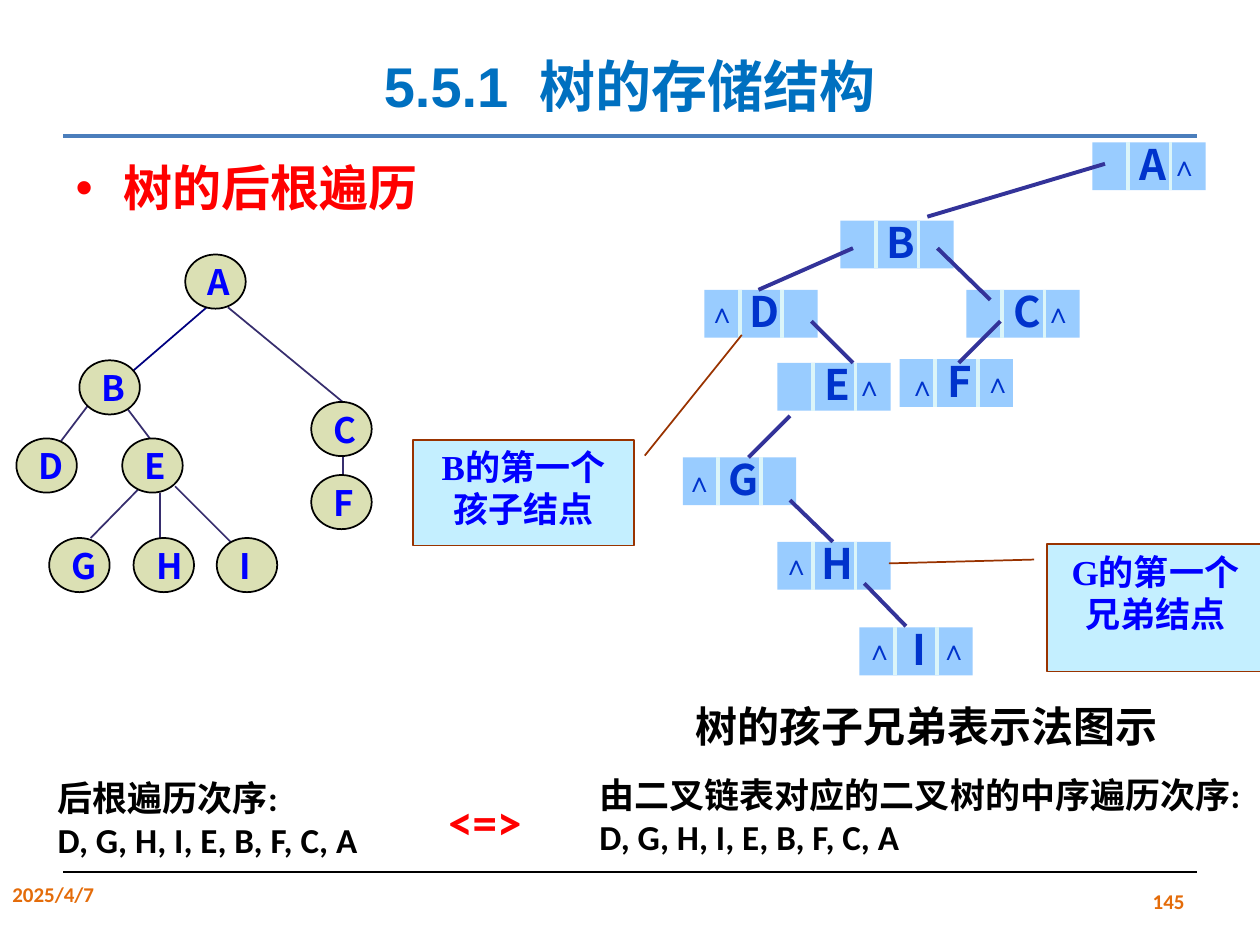
from lxml import etree
from pptx import Presentation
from pptx.dml.color import RGBColor
from pptx.enum import shapes, text
from pptx.oxml.ns import qn
from pptx.util import Inches, Pt

COLORS = {
    "title": "0070C0", "title_rule": "4B7EBC", "red": "FF0000", "black": "000000",
    "footer": "E46C0A", "cell": "99CCFF", "divider": "DBF5F9", "cell_text": "0033CC",
    "pointer": "333399", "callout": "C4EFFF", "callout_line": "993300",
    "blue": "0000FF", "node": "DBE0B4", "edge": "372E6E", "root_edge": "000080",
}
RGB = {name: RGBColor.from_string(value) for name, value in COLORS.items()}
SANS = "Noto Sans CJK SC"
LEFT, CENTER, RIGHT = text.PP_ALIGN.LEFT, text.PP_ALIGN.CENTER, text.PP_ALIGN.RIGHT

deck = Presentation()
deck.slide_width, deck.slide_height = Inches(10), Inches(7.5)
page = deck.slides.add_slide(deck.slide_layouts[1])


def write(box, words, size, color, font="Calibri", align=LEFT, wrap=True):
    """Fill a shape with bold text, one paragraph per line."""
    frame = box.text_frame
    frame.text = words
    frame.word_wrap = wrap
    for para in frame.paragraphs:
        para.alignment = align
        for span in para.runs:
            span.font.size, span.font.bold, span.font.name = Pt(size), True, font
            span.font.color.rgb = RGB[color]
            east_asian = etree.SubElement(span.font._element, qn("a:ea"))
            east_asian.set("typeface", SANS)


def draw_line(x1, y1, x2, y2, color, width):
    line = page.shapes.add_connector(
        shapes.MSO_CONNECTOR.STRAIGHT, Inches(x1), Inches(y1), Inches(x2), Inches(y2))
    line.line.color.rgb = RGB[color]
    line.line.width = Pt(width)
    etree.SubElement(line._element.spPr, qn("a:effectLst"))


# Title and heading
title = page.shapes.title
title.left, title.top, title.width, title.height = 0, 0, Inches(9), Inches(1.09)
title.left = Inches(0.5)
write(title, "5.5.1  树的存储结构", 32, "title", "Arial", CENTER)
title.text_frame.vertical_anchor = text.MSO_ANCHOR.MIDDLE
title.text_frame.paragraphs[0].line_spacing = 1.5

body = page.placeholders[1]
body.left, body.top, body.width, body.height = [Inches(n) for n in (0.5, 1.17, 9, 5.58)]
write(body, "树的后根遍历", 28, "red", align=text.PP_ALIGN.JUSTIFY)
heading = body.text_frame.paragraphs[0]
heading.line_spacing = Pt(36)
heading.space_before = Pt(0)
bullet_format = heading._p.get_or_add_pPr()
bullet_format.set("marL", str(Inches(0.38)))
bullet_format.set("indent", str(-Inches(0.38)))
etree.SubElement(bullet_format, qn("a:buChar")).set("char", "•")

draw_line(0.5, 1.08, 9.5, 1.08, "title_rule", 2.75)
draw_line(0.5, 6.92, 9.5, 6.92, "black", 0.75)

# Child-sibling linked list: each cell has two pointer fields around its letter
cells = {
    "A": (8.67, 1.13), "B": (6.67, 1.75), "C": (7.67, 2.3), "D": (5.59, 2.3),
    "E": (6.17, 2.88), "F": (7.14, 2.85), "G": (5.42, 3.63), "H": (6.17, 4.3),
    "I": (6.82, 4.98),
}
for letter, (x, y) in cells.items():
    cell = page.shapes.add_shape(
        shapes.MSO_SHAPE.RECTANGLE, Inches(x), Inches(y), Inches(0.9), Inches(0.38))
    cell.shadow.inherit = False
    cell.fill.solid()
    cell.fill.fore_color.rgb = RGB["cell"]
    cell.line.fill.background()
    for offset in (0.28, 0.62):
        draw_line(x + offset, y, x + offset, y + 0.38, "divider", 2.25)
    box = page.shapes.add_textbox(
        Inches(x - 0.06), Inches(y - 0.08), Inches(1.08), Inches(0.5))
    write(box, letter, 24, "cell_text", SANS, CENTER)

pointers = [
    (8.77, 1.3, 7.36, 1.72), (6.77, 1.97, 6.02, 2.3), (7.44, 1.97, 7.86, 2.38),
    (6.44, 2.55, 6.77, 2.88), (7.94, 2.55, 7.61, 2.88), (6.27, 3.3, 5.94, 3.63),
    (6.27, 3.97, 6.61, 4.3), (6.86, 4.63, 7.19, 4.97),
]
for ends in pointers:
    draw_line(*ends, "pointer", 2.25)

null_marks = [
    (9.19, 1.13), (5.52, 2.3), (8.19, 2.3), (6.69, 2.88), (7.11, 2.88),
    (7.71, 2.85), (5.34, 3.64), (6.11, 4.3), (6.77, 4.97), (7.36, 4.97),
]
for x, y in null_marks:
    box = page.shapes.add_textbox(Inches(x), Inches(y), Inches(0.42), Inches(0.37))
    write(box, "∧", 16, "cell_text", "Arial", CENTER, wrap=False)

callouts = [
    ("B的第一个孩子结点", (3.28, 3.49, 1.75, 0.84), (0.15, 1.05, -0.99, 1.49)),
    ("G的第一个兄弟结点", (8.31, 4.32, 1.72, 1.01), (0.12, -0.06, 0.15, -0.73)),
]
for words, place, leader in callouts:
    callout = page.shapes.add_shape(
        shapes.MSO_SHAPE.LINE_CALLOUT_1, *[Inches(n) for n in place])
    for index, value in enumerate(leader):
        callout.adjustments[index] = value
    callout.shadow.inherit = False
    callout.fill.solid()
    callout.fill.fore_color.rgb = RGB["callout"]
    callout.line.color.rgb = RGB["callout_line"]
    callout.line.width = Pt(1)
    write(callout, words, 20, "blue", "Times New Roman", CENTER)
    callout.text_frame.vertical_anchor = text.MSO_ANCHOR.TOP

# Tree
edges = [
    (1.81, 2.44, 2.72, 3.19), (0.72, 3.19, 0.47, 3.52), (0.97, 3.19, 1.22, 3.52),
    (2.72, 3.6, 2.72, 3.85), (1.15, 3.83, 0.72, 4.27), (1.27, 3.91, 1.27, 4.27),
    (1.39, 3.86, 1.89, 4.36),
]
draw_line(1.64, 2.44, 1.06, 2.94, "root_edge", 1)
for ends in edges:
    draw_line(*ends, "edge", 1)

nodes = {
    "A": (1.47, 2.02), "B": (0.63, 2.86), "C": (2.47, 3.19), "D": (0.13, 3.48),
    "E": (0.97, 3.48), "F": (2.47, 3.77), "G": (0.39, 4.27), "H": (1.06, 4.27),
    "I": (1.72, 4.27),
}
for letter, (x, y) in nodes.items():
    node = page.shapes.add_shape(
        shapes.MSO_SHAPE.OVAL, Inches(x), Inches(y), Inches(0.48), Inches(0.43))
    node.shadow.inherit = False
    node.fill.solid()
    node.fill.fore_color.rgb = RGB["node"]
    node.line.color.rgb = RGB["black"]
    node.line.width = Pt(1)
    box = page.shapes.add_textbox(
        Inches(x + 0.08), Inches(y), Inches(0.48), Inches(0.43))
    write(box, letter, 20, "blue", SANS)

# Caption, traversal orders and footer
order = "D, G, H, I, E, B, F, C, A"
labels = [
    ("树的孩子兄弟表示法图示", (4.52, 5.51, 5.67, 0.5), 24, "black", "Times New Roman", CENTER, True),
    (f"后根遍历次序:\n{order}", (0.36, 6.11, 2.6, 0.77), 20, "black", "Calibri", LEFT, False),
    (f"由二叉链表对应的二叉树的中序遍历次序:\n{order}", (4.66, 6.09, 5.33, 0.77), 20, "black",
     "Calibri", LEFT, False),
    ("<=>", (3.46, 6.23, 0.79, 0.57), 28, "red", "Calibri", LEFT, False),
    ("2025/4/7", (0, 6.95, 2.33, 0.4), 12, "footer", "Calibri", LEFT, True),
    ("145", (7.17, 6.95, 2.33, 0.4), 12, "footer", "Calibri", RIGHT, True),
]
for words, place, *style in labels:
    box = page.shapes.add_textbox(*[Inches(n) for n in place])
    write(box, words, *style)
box.text_frame.vertical_anchor = text.MSO_ANCHOR.MIDDLE

deck.save("out.pptx")
